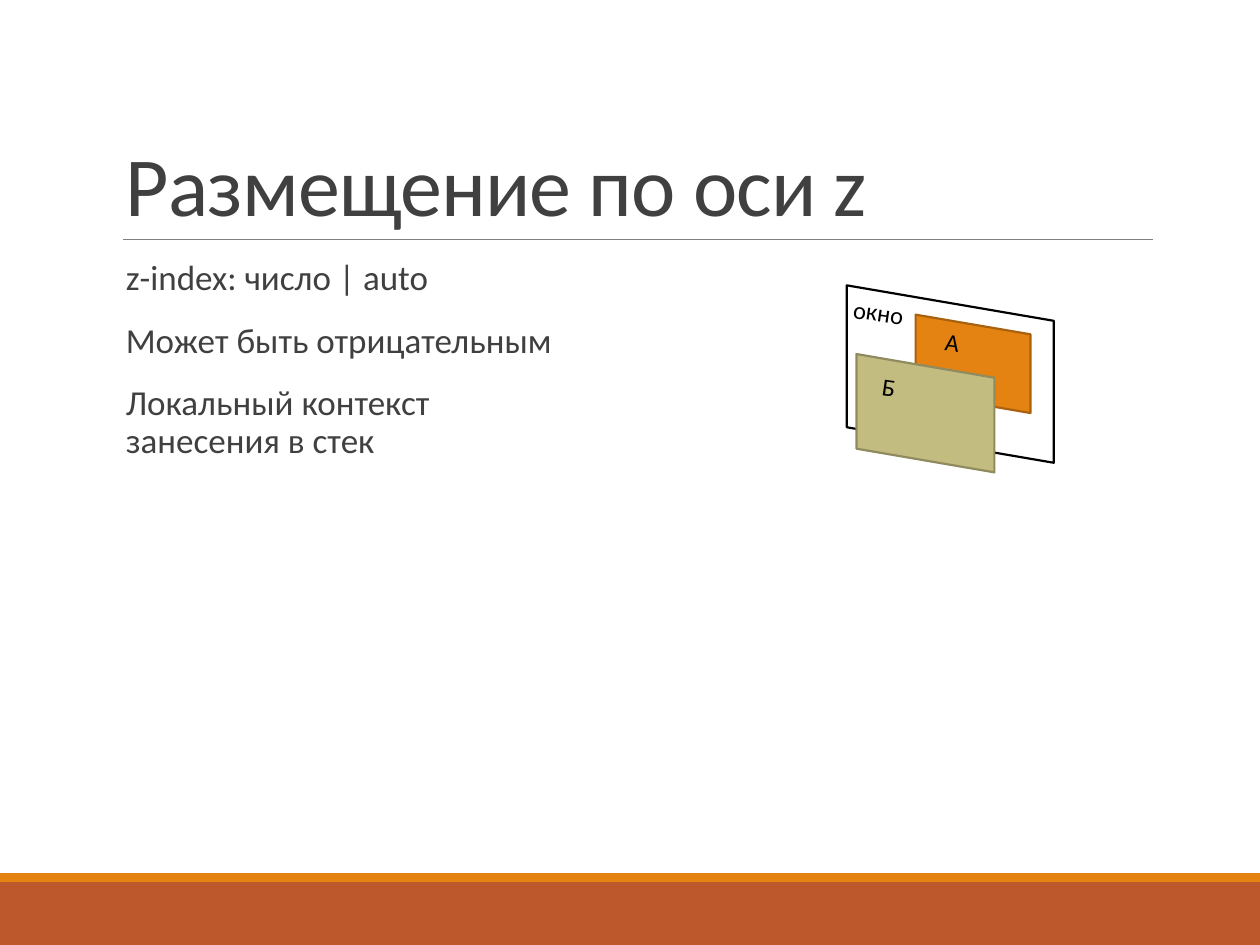
from pptx import Presentation
from pptx.dml.color import RGBColor
from pptx.enum import shapes, text
from pptx.util import Pt

WHITE = RGBColor(0xFF, 0xFF, 0xFF)
BLACK = RGBColor(0x00, 0x00, 0x00)
INK = RGBColor(0x40, 0x40, 0x40)
GREY = RGBColor(0x80, 0x80, 0x80)
ORANGE = RGBColor(0xE4, 0x83, 0x12)
ORANGE_EDGE = RGBColor(0xA9, 0x61, 0x0D)
RUST = RGBColor(0xBD, 0x58, 0x2C)
OLIVE = RGBColor(0xC2, 0xBC, 0x80)
OLIVE_EDGE = RGBColor(0x90, 0x8B, 0x5F)


class Painter:
    font = "Calibri"
    edge = 1.25
    tilt = 8.3

    def __init__(self, page):
        self.page = page

    def shape(self, kind, place, fill, line=None, turn=0):
        shape = self.page.shapes.add_shape(kind, *map(Pt, place))
        shape.shadow.inherit = False
        shape.rotation = turn
        shape.fill.solid()
        shape.fill.fore_color.rgb = fill
        if line is None:
            shape.line.fill.background()
        else:
            shape.line.color.rgb = line
            shape.line.width = Pt(self.edge)

    def band(self, top, height, fill):
        self.shape(shapes.MSO_SHAPE.RECTANGLE, (0, top, 720, height), fill)

    def layer(self, place, fill, line):
        """A slanted pane: a parallelogram on its side."""
        self.shape(shapes.MSO_SHAPE.FLOWCHART_DATA, place, fill, line, turn=90)

    def rule(self, left, right, y, color, width):
        line = self.page.shapes.add_connector(
            shapes.MSO_CONNECTOR.STRAIGHT, Pt(left), Pt(y), Pt(right), Pt(y))
        line.line.color.rgb = color
        line.line.width = Pt(width)
        properties = line._element.spPr
        properties.append(properties.makeelement(
            "{http://schemas.openxmlformats.org/drawingml/2006/main}effectLst", {}))

    def text(self, place, lines, size, color, spacing=1.0, before=0, after=0,
             anchor=text.MSO_ANCHOR.TOP, wrap=True, turn=0, tracking=0):
        box = self.page.shapes.add_textbox(*map(Pt, place))
        box.rotation = turn
        frame = box.text_frame
        frame.word_wrap = wrap
        frame.vertical_anchor = anchor
        for number, line in enumerate(lines):
            para = frame.add_paragraph() if number else frame.paragraphs[0]
            para.text = line
            para.line_spacing = spacing
            para.space_before, para.space_after = Pt(before), Pt(after)
            para.font.name = self.font
            para.font.size = Pt(size)
            para.font.color.rgb = color
            if tracking:
                for span in para.runs:
                    span._r.get_or_add_rPr().set("spc", str(int(tracking * 100)))

    def label(self, left, top, width, word):
        self.text((left, top, width, 28.8), [word], 14, BLACK,
                  wrap=False, turn=self.tilt)


def main():
    deck = Presentation()
    deck.slide_width, deck.slide_height = Pt(720), Pt(540)
    page = deck.slides.add_slide(deck.slide_layouts[6])
    painter = Painter(page)

    # Footer bands and title rule
    painter.band(504, 36, RUST)
    painter.band(499, 5, ORANGE)
    painter.rule(70.5, 659, 136.8, GREY, 0.5)

    # Title and body
    painter.text((64.8, 22.3, 594, 114.5), ["Размещение по оси z"], 48, INK,
                 spacing=0.85, anchor=text.MSO_ANCHOR.BOTTOM, tracking=-0.5)
    painter.text((64.8, 145.4, 594, 316.8),
                 ["z-index: число | auto",
                  "Может быть отрицательным",
                  "Локальный контекст\vзанесения в стек"],
                 20, INK, spacing=0.9, before=12, after=2)

    # Stacked panes, from back to front
    painter.layer((492.3, 154.6, 101.4, 118.3), WHITE, BLACK)
    painter.label(480.2, 167, 51.8, "окно")
    painter.layer((527.9, 175.1, 56.2, 65.6), ORANGE, ORANGE_EDGE)
    painter.layer((495, 196.7, 67.6, 78.8), OLIVE, OLIVE_EDGE)
    painter.label(532.8, 183.6, 25.2, "А")
    painter.label(496.8, 209.5, 25.2, "Б")

    deck.save("out.pptx")


if __name__ == "__main__":
    main()
